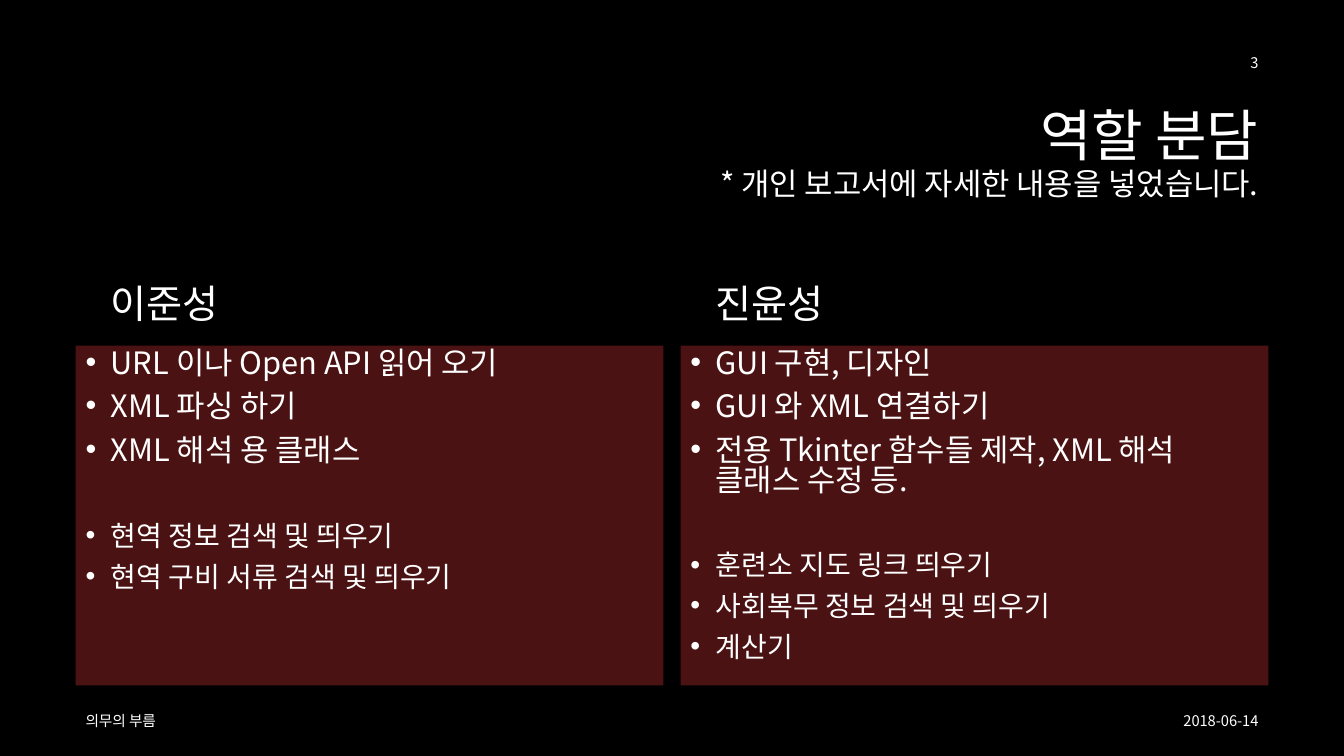
from lxml.etree import SubElement
from pptx import Presentation
from pptx.dml.color import RGBColor
from pptx.enum.shapes import MSO_SHAPE as Shape
from pptx.enum.text import MSO_ANCHOR as Anchor, PP_ALIGN as Align
from pptx.oxml.ns import qn
from pptx.util import Inches, Pt

BLACK = RGBColor(0x00, 0x00, 0x00)
WHITE = RGBColor(0xFF, 0xFF, 0xFF)
MAROON = RGBColor(0x4A, 0x12, 0x12)
FONT = "Noto Sans CJK KR"

WIDTH, HEIGHT = 13.33, 7.5
MARGIN = 0.75
RIGHT = WIDTH - MARGIN
COLUMN_STEP = 6
COLUMN_WIDTH = RIGHT - MARGIN - COLUMN_STEP
NAME_INDENT = 0.25
NAME_TOP, NAME_HEIGHT = 2.39, 0.9
PANEL_TOP, PANEL_HEIGHT = 3.43, 3.37
SMALL_HEIGHT = 0.4
FOOTER_TOP = 6.95

GROUP_SIZES = (22, 20)
ITEM_GAP = 10
GROUP_GAP = 41

MEMBERS = [
    ("이준성", [
        ["URL 이나 Open API 읽어 오기", "XML 파싱 하기", "XML 해석 용 클래스"],
        ["현역 정보 검색 및 띄우기", "현역 구비 서류 검색 및 띄우기"],
    ]),
    ("진윤성", [
        ["GUI 구현, 디자인", "GUI 와 XML 연결하기",
         "전용 Tkinter 함수들 제작, XML 해석 클래스 수정 등."],
        ["훈련소 지도 링크 띄우기", "사회복무 정보 검색 및 띄우기", "계산기"],
    ]),
]


def style_run(run, size):
    run.font.size = Pt(size)
    run.font.name = FONT
    run.font.color.rgb = WHITE
    SubElement(run._r.get_or_add_rPr(), qn("a:ea"), typeface=FONT)


def add_text(slide, text, box, sizes, align=Align.LEFT, anchor=Anchor.MIDDLE,
             line_spacing=1.0):
    """Add one paragraph; sizes holds one size per line of the text."""
    frame = slide.shapes.add_textbox(*map(Inches, box)).text_frame
    frame.word_wrap = True
    frame.vertical_anchor = anchor
    paragraph = frame.paragraphs[0]
    paragraph.text = text
    paragraph.alignment = align
    paragraph.line_spacing = line_spacing
    for run, size in zip(paragraph.runs, sizes):
        style_run(run, size)


def add_bullet(paragraph):
    properties = paragraph._p.get_or_add_pPr()
    properties.set("marL", str(Inches(0.25)))
    properties.set("indent", str(Inches(-0.25)))
    SubElement(properties, qn("a:buFont"), typeface="Arial")
    SubElement(properties, qn("a:buChar"), char="•")


def add_task_panel(slide, left, groups):
    panel = slide.shapes.add_shape(
        Shape.RECTANGLE, *map(Inches, (left, PANEL_TOP, COLUMN_WIDTH, PANEL_HEIGHT)))
    panel.shadow.inherit = False
    panel.fill.solid()
    panel.fill.fore_color.rgb = MAROON
    panel.line.fill.background()
    frame = panel.text_frame
    frame.word_wrap = True
    frame.vertical_anchor = Anchor.TOP
    frame.text = "\n".join(task for group in groups for task in group)

    paragraphs = iter(frame.paragraphs)
    for number, (group, size) in enumerate(zip(groups, GROUP_SIZES)):
        for position, _ in enumerate(group):
            paragraph = next(paragraphs)
            starts_later_group = number > 0 and position == 0
            paragraph.alignment = Align.LEFT
            paragraph.line_spacing = 0.8
            paragraph.space_before = Pt(GROUP_GAP if starts_later_group else ITEM_GAP)
            add_bullet(paragraph)
            style_run(paragraph.runs[0], size)


def add_member(slide, column, name, groups):
    left = MARGIN + column * COLUMN_STEP
    name_box = (left + NAME_INDENT, NAME_TOP, COLUMN_WIDTH - NAME_INDENT, NAME_HEIGHT)
    add_text(slide, name, name_box, [28], anchor=Anchor.BOTTOM, line_spacing=0.9)
    add_task_panel(slide, left, groups)


def add_small_text(slide, text, top, width, align=Align.RIGHT):
    left = MARGIN if align == Align.LEFT else RIGHT - width
    add_text(slide, text, (left, top, width, SMALL_HEIGHT), [10.5], align)


def main():
    deck = Presentation()
    deck.slide_width, deck.slide_height = Inches(WIDTH), Inches(HEIGHT)
    slide = deck.slides.add_slide(deck.slide_layouts[6])
    slide.background.fill.solid()
    slide.background.fill.fore_color.rgb = BLACK

    add_text(slide, "역할 분담\v* 개인 보고서에 자세한 내용을 넣었습니다.",
             (RIGHT - 9.42, 0.83, 9.42, 1.42), [40, 22], Align.RIGHT, line_spacing=0.9)
    for column, (name, groups) in enumerate(MEMBERS):
        add_member(slide, column, name, groups)
    add_small_text(slide, "2018-06-14", FOOTER_TOP, 3.18)
    add_small_text(slide, "의무의 부름", FOOTER_TOP, 8.5, Align.LEFT)
    add_small_text(slide, "3", 0.42, 3)

    deck.save("out.pptx")


if __name__ == "__main__":
    main()
